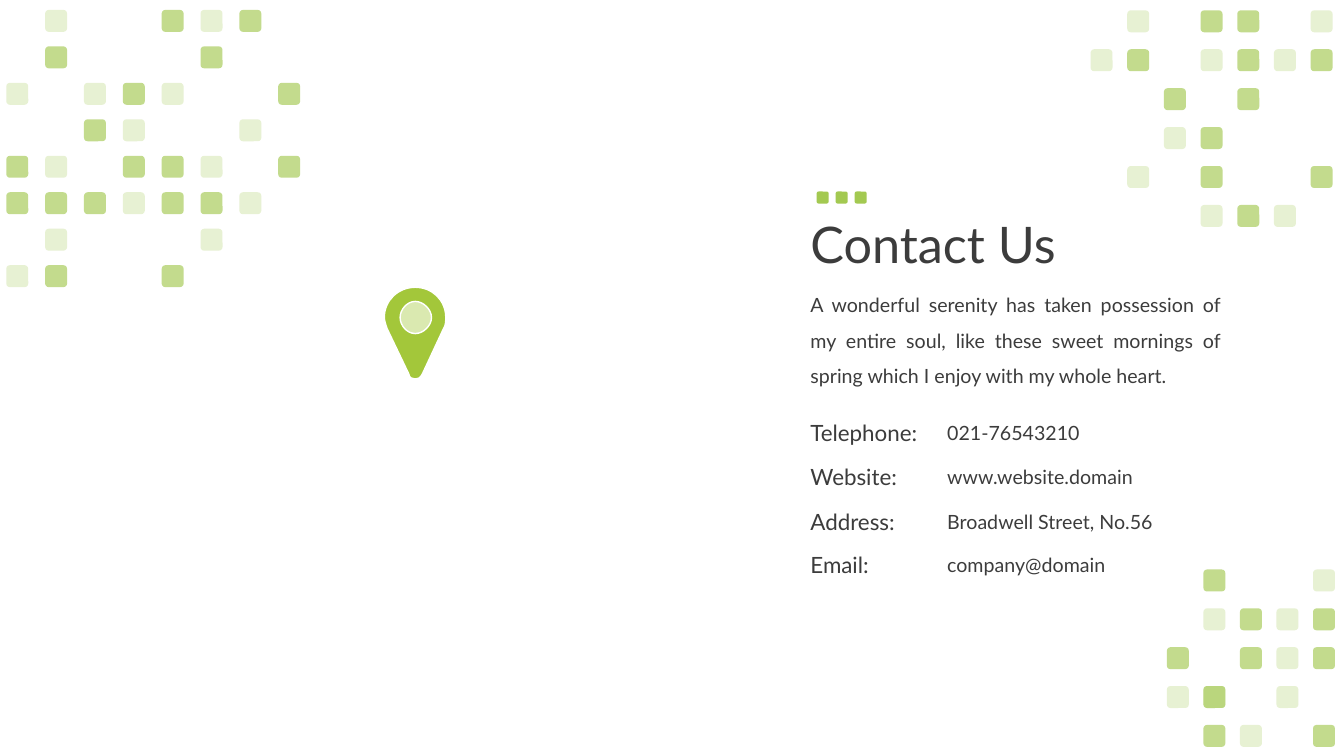
import lxml.etree
import pptx
import pptx.dml.color
import pptx.enum.shapes
import pptx.enum.text
import pptx.oxml.ns
import pptx.util

Pt = pptx.util.Pt
SHAPE = pptx.enum.shapes.MSO_SHAPE
ALIGN = pptx.enum.text.PP_ALIGN
ANCHOR = pptx.enum.text.MSO_ANCHOR
INK, GREEN, PIN_GREEN, PIN_PALE, WHITE = "3C3C3C", "A3C951", "A3C73A", "DAE9B0", "FFFFFF"


def paint(shape, fill, opacity=100, outline=None):
    """Give a shape a flat fill, an optional 1 pt outline and no shadow."""
    shape.shadow.inherit = False
    shape.fill.solid()
    shape.fill.fore_color.rgb = pptx.dml.color.RGBColor.from_string(fill)
    if opacity < 100:
        tint = shape.fill._xPr.find(".//" + pptx.oxml.ns.qn("a:srgbClr"))
        alpha = lxml.etree.SubElement(tint, pptx.oxml.ns.qn("a:alpha"))
        alpha.set("val", str(opacity * 1000))
    if outline:
        shape.line.color.rgb = pptx.dml.color.RGBColor.from_string(outline)
        shape.line.width = Pt(1)
    else:
        shape.line.fill.background()


deck = pptx.Presentation()
deck.slide_width, deck.slide_height = Pt(960), Pt(540)
page = deck.slides.add_slide(deck.slide_layouts[6])

# Corner mosaics: o is a pale tile, # a strong one, * both on top of each other
OPACITIES = {".": [], "o": [25], "#": [65], "*": [65, 25]}
mosaics = [
    (4.5, 7.1, 27.75, 26.05, [
        ".o..#o#.",
        ".#...#..",
        "o.o#o..#",
        "..#o..o.",
        "#o.##o.#",
        "###o##o.",
        ".o...o..",
        "o#..#...",
    ]),
    (779, 7.4, 26.2, 27.8, [
        ".o.##.o",
        "o#.o#o#",
        "..#.#..",
        "..o#...",
        ".o.#..#",
        "...o#o.",
    ]),
    (833.5, 406.8, 26.1, 27.75, [
        ".#..o",
        ".o#o#",
        "#.#o#",
        "o*.o.",
        ".#o.#",
    ]),
]
for left, top, step_x, step_y, rows in mosaics:
    mosaic = page.shapes.add_group_shape()
    for row, marks in enumerate(rows):
        for column, mark in enumerate(marks):
            for opacity in OPACITIES[mark]:
                tile = mosaic.shapes.add_shape(
                    SHAPE.ROUNDED_RECTANGLE, Pt(left + column * step_x),
                    Pt(top + row * step_y), Pt(15.7), Pt(15.7))
                paint(tile, GREEN, opacity)

# Map pin: a pale disc seen through the hole of the marker
pin = page.shapes.add_group_shape()
disc = pin.shapes.add_shape(SHAPE.OVAL, Pt(284), Pt(213.2), Pt(25.2), Pt(25.2))
paint(disc, PIN_PALE, outline=WHITE)

# Each contour is a start point, then two handles and an end point per curve
body = [
    (316.8, 234.7),
    (301.7, 267.1), (301.7, 267.1), (301.7, 267.1),
    (300.2, 270), (298.8, 270.7), (296.6, 270.7),
    (294.5, 270.7), (292.3, 270), (292, 267.1),
    (276.5, 234.7), (276.5, 234.7), (276.5, 234.7),
    (275.8, 232.6), (274.5, 229), (274.5, 226.8),
    (274.5, 214.6), (284.4, 205.2), (296.6, 205.2),
    (308.9, 205.2), (318.4, 214.6), (318.4, 226.8),
    (318.4, 229), (318.4, 232.6), (316.8, 234.7),
]
hole = [
    (296.6, 215.3),
    (290.9, 215.3), (285.8, 221), (285.8, 226.8),
    (285.8, 232.6), (290.9, 238.3), (296.6, 238.3),
    (302.4, 238.3), (308.2, 232.6), (308.2, 226.8),
    (308.2, 221), (302.4, 215.3), (296.6, 215.3),
]
body, hole = [[(Pt(x), Pt(y)) for x, y in contour] for contour in (body, hole)]
builder = pin.shapes.build_freeform(*body[0], scale=1.0)
builder.add_line_segments(body[1:], close=True)
builder.move_to(*hole[0])
builder.add_line_segments(hole[1:], close=True)
marker = builder.convert_to_shape()
segments = list(marker._element.iter(pptx.oxml.ns.qn("a:lnTo")))
for first in range(0, len(segments), 3):
    curve = lxml.etree.Element(pptx.oxml.ns.qn("a:cubicBezTo"))
    segments[first].addprevious(curve)
    for segment in segments[first:first + 3]:
        curve.append(segment[0])
        segment.getparent().remove(segment)
paint(marker, PIN_GREEN, outline=WHITE)

# Three small squares above the title
squares = page.shapes.add_group_shape()
for index in range(3):
    square = squares.shapes.add_shape(
        SHAPE.ROUNDED_RECTANGLE, Pt(583.3 + index * 13.6), Pt(136.8), Pt(8.6), Pt(8.6))
    paint(square, GREEN)

# Texts: left, top, width, height, size, line spacing, alignment, anchor, wording
texts = [
    (571.8, 124.2, 380, 104.4, 36, 0.9, ALIGN.LEFT, ANCHOR.MIDDLE, "Contact Us"),
    (571.8, 197.5, 307.4, 80, 14, 1.5, ALIGN.JUSTIFY, ANCHOR.TOP,
     "A wonderful serenity has taken possession of my entire soul, like these "
     "sweet mornings of spring which I enjoy with my whole heart."),
]
contacts = [
    (295.9, "Telephone:", "021-76543210"),
    (327.6, "Website:", "www.website.domain"),
    (359.5, "Address:", "Broadwell Street, No.56"),
    (390.4, "Email:", "company@domain"),
]
for top, label, value in contacts:
    texts.append((571.8, top, 149.8, 26.6, 16, 1, ALIGN.LEFT, ANCHOR.TOP, label))
    texts.append((669.5, top + 1, 185, 24.5, 14, 1, ALIGN.LEFT, ANCHOR.TOP, value))

for left, top, width, height, size, spacing, alignment, anchor, wording in texts:
    box = page.shapes.add_textbox(Pt(left), Pt(top), Pt(width), Pt(height))
    box.text_frame.word_wrap = True
    box.text_frame.vertical_anchor = anchor
    para = box.text_frame.paragraphs[0]
    para.text = wording
    para.alignment = alignment
    para.line_spacing = spacing
    para.font.name = "Lato"
    para.font.size = Pt(size)
    para.font.color.rgb = pptx.dml.color.RGBColor.from_string(INK)

deck.save("out.pptx")
